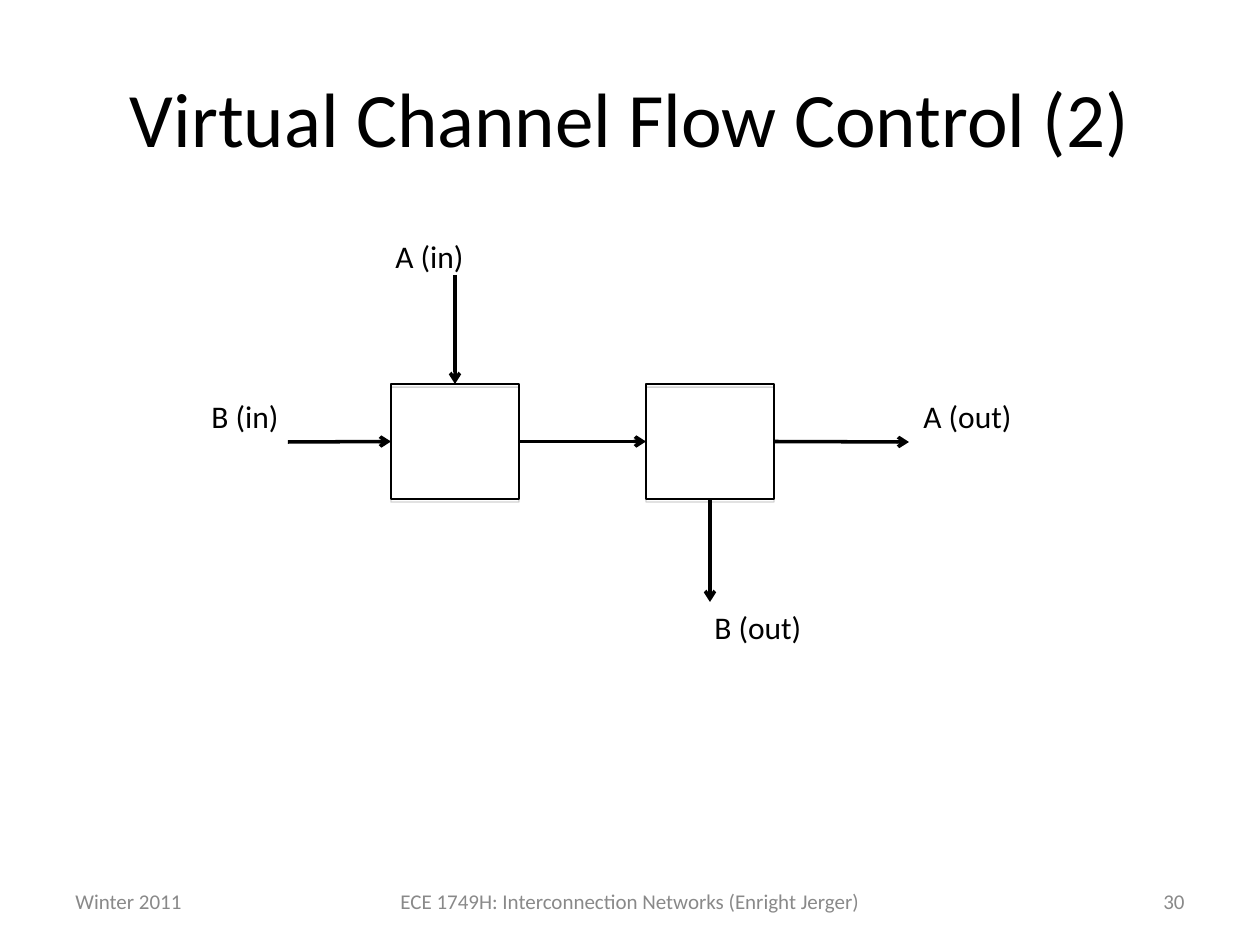
from typing import NamedTuple, Optional

from lxml.etree import SubElement
from pptx import Presentation
from pptx.dml.color import RGBColor
from pptx.enum.shapes import MSO_CONNECTOR, MSO_SHAPE
from pptx.enum.text import MSO_ANCHOR as Anchor, MSO_AUTO_SIZE as AutoSize, PP_ALIGN as Align
from pptx.oxml.ns import qn
from pptx.util import Emu, Pt

BLACK = RGBColor(0x00, 0x00, 0x00)
GRAY = RGBColor(0x89, 0x89, 0x89)
SHADOW = RGBColor(0x80, 0x80, 0x80)
FONT = "Calibri"
EMU_PER_PX = 914400 / 126
TOP, LEFT, BOTTOM, RIGHT = range(4)


class Box(NamedTuple):
    x: int
    y: int
    width: int
    height: int

    def emu(self) -> list[Emu]:
        return [px(length) for length in self]


class Label(NamedTuple):
    text: str
    x: int
    y: int


class Footer(NamedTuple):
    text: str
    x: int
    width: int
    align: Align


class Port(NamedTuple):
    router: int
    side: int


class Link(NamedTuple):
    start: tuple[int, int]
    end: tuple[int, int]
    source: Optional[Port] = None
    target: Optional[Port] = None


TITLE_BOX = Box(63, 38, 1134, 157)
ROUTERS = [Box(x, 384, 128, 115) for x in (391, 646)]
LINKS = [
    Link((455, 275), (455, 384), target=Port(0, TOP)),
    Link((288, 442), (391, 442), target=Port(0, LEFT)),
    Link((519, 442), (646, 442), Port(0, RIGHT), Port(1, LEFT)),
    Link((710, 499), (710, 602), source=Port(1, BOTTOM)),
    Link((774, 442), (909, 442), source=Port(1, RIGHT)),
]
LABELS = [
    Label("A (in)", 383, 231),
    Label("B (in)", 199, 391),
    Label("A (out)", 911, 391),
    Label("B (out)", 702, 602),
]
FOOTERS = [
    Footer("Winter 2011", 63, 294, Align.LEFT),
    Footer("ECE 1749H: Interconnection Networks (Enright Jerger)", 357, 546, Align.CENTER),
    Footer("30", 903, 294, Align.RIGHT),
]


def px(length: int) -> Emu:
    return Emu(round(length * EMU_PER_PX))


def write(shape, text: str, *, size: int, color=BLACK, align=Align.LEFT,
          anchor=Anchor.TOP, auto_size=AutoSize.NONE) -> None:
    frame = shape.text_frame
    frame.word_wrap = True
    frame.auto_size = auto_size
    frame.vertical_anchor = anchor
    paragraph = frame.paragraphs[0]
    paragraph.alignment = align
    run = paragraph.add_run()
    run.text = text
    run.font.name = FONT
    run.font.size = Pt(size)
    run.font.color.rgb = color


def draw_router(slide, box: Box):
    router = slide.shapes.add_shape(MSO_SHAPE.RECTANGLE, *box.emu())
    router.fill.background()
    router.line.color.rgb = BLACK
    router.line.width = Pt(0.75)
    router.shadow.inherit = False
    effects = router._element.spPr.find(qn("a:effectLst"))
    outer = SubElement(effects, qn("a:outerShdw"), dist=str(Pt(1.8)), dir="5400000",
                       rotWithShape="0")
    tint = SubElement(outer, qn("a:srgbClr"), val=str(SHADOW))
    SubElement(tint, qn("a:alpha"), val="35000")
    return router


def draw_link(slide, link: Link, routers: list) -> None:
    arrow = slide.shapes.add_connector(
        MSO_CONNECTOR.STRAIGHT, *map(px, link.start + link.end))
    if link.source:
        arrow.begin_connect(routers[link.source.router], link.source.side)
    if link.target:
        arrow.end_connect(routers[link.target.router], link.target.side)
    arrow.line.color.rgb = BLACK
    arrow.line.width = Pt(2)
    properties = arrow._element.spPr
    SubElement(properties.find(qn("a:ln")), qn("a:tailEnd"), type="arrow")
    SubElement(properties, qn("a:effectLst"))


def draw_label(slide, label: Label) -> None:
    caption = slide.shapes.add_textbox(*Box(label.x, label.y, 127, 50).emu())
    write(caption, label.text, size=18, auto_size=AutoSize.SHAPE_TO_FIT_TEXT)


def draw_footer(slide, footer: Footer) -> None:
    note = slide.shapes.add_textbox(*Box(footer.x, 876, footer.width, 50).emu())
    write(note, footer.text, size=12, color=GRAY, align=footer.align, anchor=Anchor.MIDDLE)


def main() -> None:
    presentation = Presentation()
    presentation.slide_width, presentation.slide_height = px(1260), px(945)
    slide = presentation.slides.add_slide(presentation.slide_layouts[5])

    title = slide.shapes.title
    title.left, title.top, title.width, title.height = TITLE_BOX.emu()
    write(title, "Virtual Channel Flow Control (2)", size=44, align=Align.CENTER,
          anchor=Anchor.MIDDLE)

    for footer in FOOTERS:
        draw_footer(slide, footer)
    routers = [draw_router(slide, box) for box in ROUTERS]
    for link in LINKS:
        draw_link(slide, link, routers)
    for label in LABELS:
        draw_label(slide, label)

    presentation.save("out.pptx")


if __name__ == "__main__":
    main()
